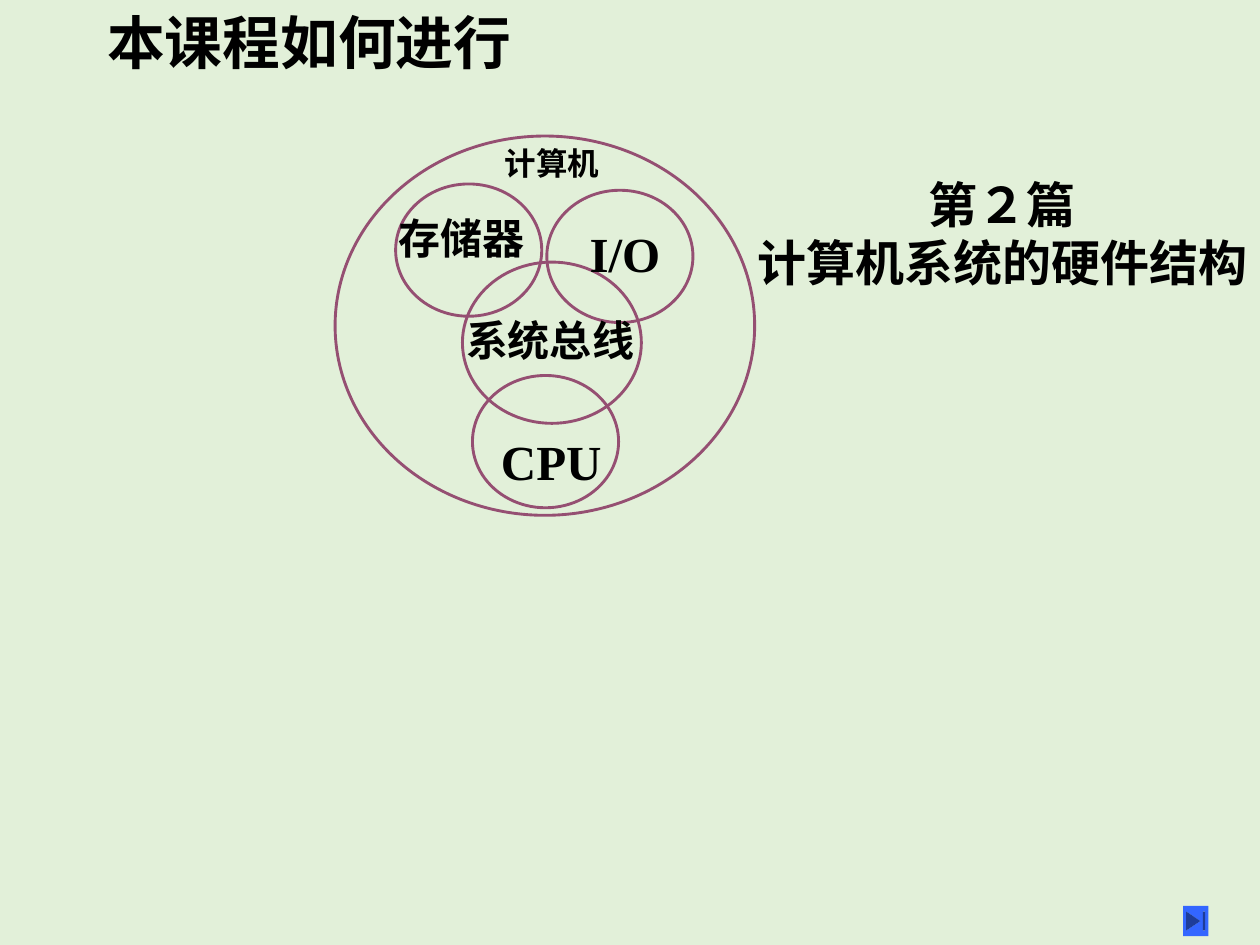
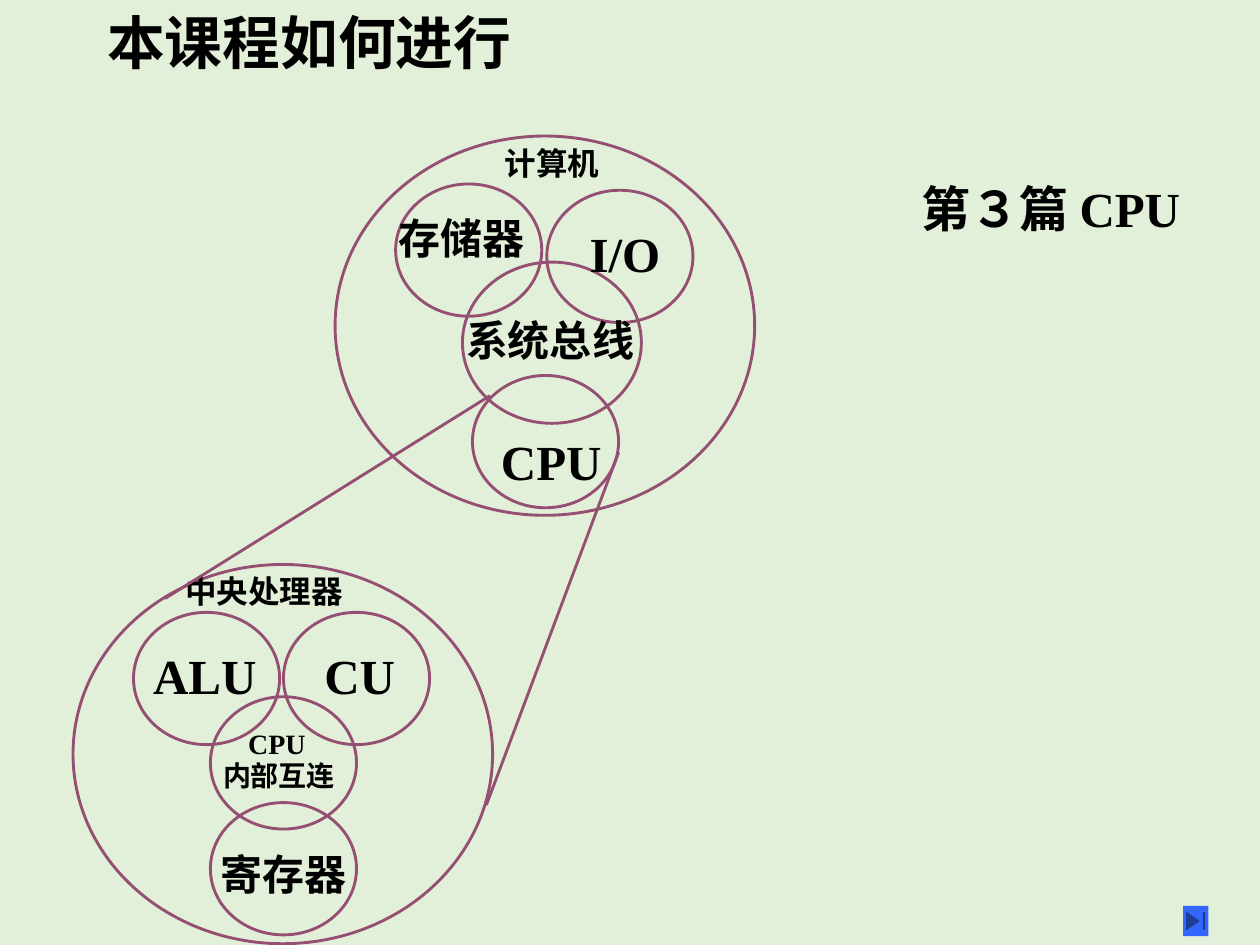
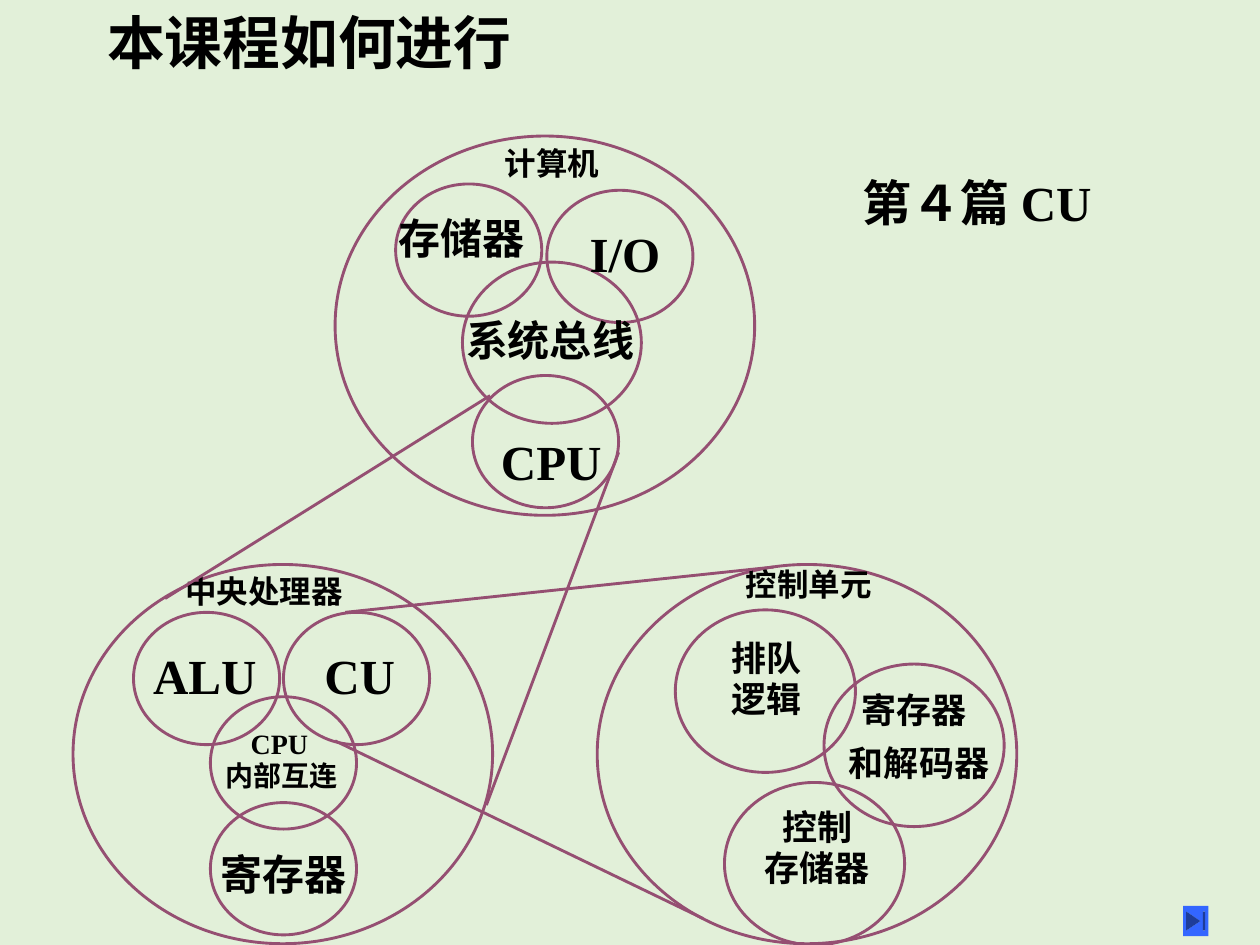
from itertools import groupby

from lxml import etree
from pptx import Presentation
from pptx.dml.color import RGBColor
from pptx.enum.shapes import MSO_CONNECTOR, MSO_SHAPE
from pptx.enum.text import MSO_ANCHOR, PP_ALIGN
from pptx.oxml.ns import qn
from pptx.util import Inches, Pt

BACKGROUND = RGBColor(0xE2, 0xF0, 0xD9)
OUTLINE = RGBColor(0x95, 0x4F, 0x72)
BUTTON = RGBColor(0x33, 0x66, 0xFF)
INK = RGBColor(0, 0, 0)
CJK_FONT = "Noto Sans CJK SC"
LATIN_FONT = "Times New Roman"
TITLE_FONT = "Calibri"
TITLE = "本课程如何进行"
LINE_WIDTH = Pt(1.63)
SMALL = (1.16, 1.05)
MEDIUM = (1.43, 1.29)
LARGE = (3.33, 3.01)
COMPUTER = (2.66, 1.08)
PROCESSOR = (0.58, 4.48)
CONTROL_UNIT = (4.74, 4.48)


def style_run(run, size, font_name):
    font = run.font
    font.name = font_name
    font.size = Pt(size)
    font.bold = True
    font.color.rgb = INK
    east_asian = etree.SubElement(run._r.get_or_add_rPr(), qn("a:ea"))
    east_asian.set("typeface", CJK_FONT)


def is_latin(character):
    return character.isascii() and character != " "


def add_label(slide, origin, box, lines, size, align=PP_ALIGN.CENTER, margin=0):
    left, top, width, height = box
    shape = slide.shapes.add_textbox(
        Inches(origin[0] + left), Inches(origin[1] + top), Inches(width), Inches(height))
    frame = shape.text_frame
    frame.word_wrap = align == PP_ALIGN.LEFT
    frame.margin_left = frame.margin_right = Inches(margin)
    frame.margin_top = frame.margin_bottom = Inches(margin / 2)
    if all(is_latin(character) for character in lines[0]):
        frame.margin_top = Pt(size * 0.12)
    for index, line in enumerate(lines):
        paragraph = frame.add_paragraph() if index else frame.paragraphs[0]
        paragraph.alignment = align
        if index:
            paragraph.space_before = Pt(size * 0.1)
        if not all(map(is_latin, line)):
            paragraph.line_spacing = 0.9
        for latin, characters in groupby(line, is_latin):
            run = paragraph.add_run()
            run.text = "".join(characters)
            style_run(run, size, LATIN_FONT if latin else CJK_FONT)


def add_circle(slide, origin, position, size):
    shape = slide.shapes.add_shape(
        MSO_SHAPE.OVAL, Inches(origin[0] + position[0]), Inches(origin[1] + position[1]),
        Inches(size[0]), Inches(size[1]))
    shape.shadow.inherit = False
    shape.fill.background()
    shape.line.color.rgb = OUTLINE
    shape.line.width = LINE_WIDTH


def add_zoom_line(slide, start, end):
    connector = slide.shapes.add_connector(
        MSO_CONNECTOR.STRAIGHT, *(Inches(value) for value in start + end))
    connector.line.color.rgb = OUTLINE
    connector.line.width = LINE_WIDTH
    etree.SubElement(connector._element.spPr, qn("a:effectLst"))


def add_computer(slide, origin):
    add_circle(slide, origin, (0, 0), LARGE)
    add_circle(slide, origin, (1.01, 1), (1.42, 1.28))
    for position in ((0.48, 0.38), (1.68, 0.43), (1.09, 1.9)):
        add_circle(slide, origin, position, SMALL)
    add_label(slide, origin, (1.34, 0.1, 0.76, 0.3), ["计算机"], 18)
    add_label(slide, origin, (0.49, 0.65, 1.02, 0.4), ["存储器"], 24)
    add_label(slide, origin, (1.89, 0.65, 0.82, 0.47), ["I/O"], 28)
    add_label(slide, origin, (1.03, 1.46, 1.35, 0.4), ["系统总线"], 24)
    add_label(slide, origin, (1.31, 2.3, 0.81, 0.47), ["CPU"], 28)


def add_processor(slide, origin, shift=0):
    add_circle(slide, origin, (0, 0), LARGE)
    for position in ((0.48, 0.38), (1.67, 0.38), (1.09, 1.05), (1.09, 1.89)):
        add_circle(slide, origin, position, SMALL)
    add_label(slide, origin, (0.89, 0.09, 2.62, 0.3), ["中央处理器"], 18, PP_ALIGN.LEFT)
    add_label(slide, origin, (0.63, 0.6, 0.83, 0.47), ["ALU"], 28)
    add_label(slide, origin, (1.99, 0.6, 0.57, 0.47), ["CU"], 28)
    add_label(slide, origin, (1.39 + shift, 1.26, 1.4, 0.27), ["CPU"], 16, PP_ALIGN.LEFT)
    add_label(slide, origin, (1.19 + shift, 1.57, 1.05, 0.27), ["内部互连"], 16, PP_ALIGN.LEFT)
    add_label(slide, origin, (1.16, 2.3, 1.02, 0.4), ["寄存器"], 24)
    add_zoom_line(slide, (3.89, 3.14), (1.31, 4.75))
    add_zoom_line(slide, (4.91, 3.59), (3.86, 6.39))


def add_control_unit(slide, origin):
    add_circle(slide, origin, (0, 0), LARGE)
    for position in ((0.62, 0.36), (1.8, 0.79), (1.01, 1.73)):
        add_circle(slide, origin, position, MEDIUM)
    add_label(slide, origin, (1.18, 0.04, 1.45, 0.3), ["控制单元"], 18, PP_ALIGN.LEFT)
    add_label(slide, origin, (0.67, 0.61, 1.35, 0.74), ["排队", "逻辑"], 20)
    add_label(slide, origin, (2.09, 1.02, 0.85, 0.34), ["寄存器"], 20)
    add_label(slide, origin, (1.99, 1.44, 1.13, 0.34), ["和解码器"], 20)
    add_label(slide, origin, (1.15, 1.95, 1.19, 0.74), ["控制", "存储器"], 20)
    add_zoom_line(slide, (2.66, 5.88), (5.58, 7.29))
    add_zoom_line(slide, (2.74, 4.86), (6.14, 4.5))


def add_end_button(slide):
    button = slide.shapes.add_shape(
        MSO_SHAPE.ACTION_BUTTON_END, Inches(9.39), Inches(7.19), Inches(0.2), Inches(0.24))
    button.shadow.inherit = False
    button.fill.solid()
    button.fill.fore_color.rgb = BUTTON
    button.line.fill.background()


def add_course_slide(presentation, heading_box, heading, align=PP_ALIGN.CENTER):
    slide = presentation.slides.add_slide(presentation.slide_layouts[5])
    title = slide.shapes.title
    title.left, title.top = Inches(0.75), Inches(0)
    title.width, title.height = Inches(8.5), Inches(0.73)
    frame = title.text_frame
    frame.text = TITLE
    frame.vertical_anchor = MSO_ANCHOR.MIDDLE
    paragraph = frame.paragraphs[0]
    paragraph.alignment = PP_ALIGN.LEFT
    paragraph.line_spacing = 0.9
    style_run(paragraph.runs[0], 33, TITLE_FONT)
    add_label(slide, (0, 0), heading_box, heading, 28, align, margin=0.1)
    add_computer(slide, COMPUTER)
    add_end_button(slide)
    return slide


def main():
    presentation = Presentation()
    presentation.slide_width = Inches(10)
    presentation.slide_height = Inches(7.5)
    background = presentation.slide_master.background.fill
    background.solid()
    background.fore_color.rgb = BACKGROUND

    add_course_slide(presentation, (5.88, 1.39, 4.15, 1.14), ["第２篇", "计算机系统的硬件结构"])

    processor_slide = add_course_slide(presentation, (6.68, 1.42, 3.32, 0.57), ["第３篇 CPU"])
    add_processor(processor_slide, PROCESSOR)

    control_slide = add_course_slide(
        presentation, (6.75, 1.37, 2.98, 0.57), ["第４篇 CU"], PP_ALIGN.LEFT)
    add_processor(control_slide, PROCESSOR, shift=0.02)
    add_control_unit(control_slide, CONTROL_UNIT)

    presentation.save("out.pptx")


if __name__ == "__main__":
    main()
